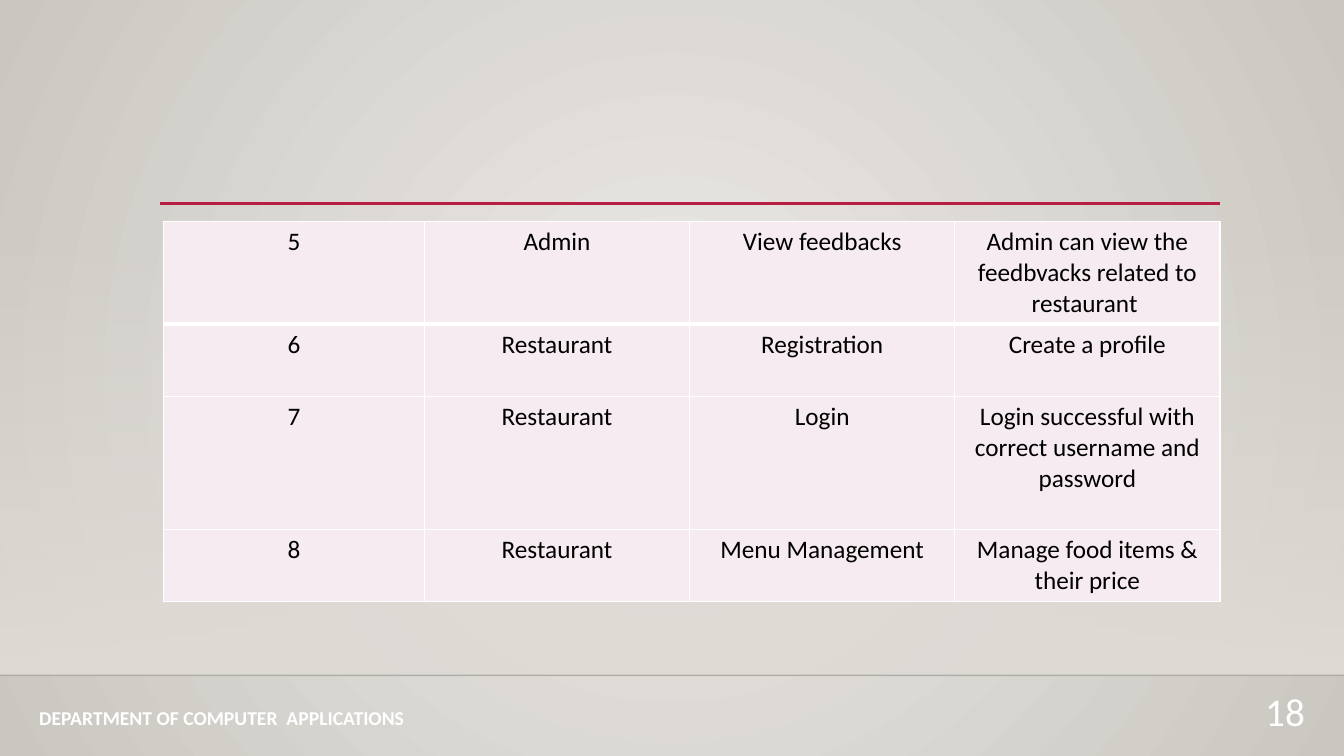
from lxml import etree
from pptx import Presentation
from pptx.dml.color import RGBColor
from pptx.enum.shapes import MSO_CONNECTOR as Conn, MSO_SHAPE as Shape
from pptx.enum.text import MSO_ANCHOR as Anchor, PP_ALIGN as Align
from pptx.oxml import parse_xml
from pptx.oxml.ns import nsdecls, qn
from pptx.util import Inches, Pt

WHITE = RGBColor(0xFF, 0xFF, 0xFF)
BLACK = RGBColor(0, 0, 0)
INK = RGBColor(0, 0, 1)
RED = RGBColor(0xB7, 0x1E, 0x42)
PINK = RGBColor(0xF5, 0xEB, 0xF1)
PALE = RGBColor(0xEC, 0xEA, 0xE7)
STONE = RGBColor(0xCA, 0xC7, 0xC1)
SAND = RGBColor(0xDF, 0xDB, 0xD5)

RADIAL = ('<a:path path="circle"><a:fillToRect l="50000" t="50000" '
          'r="50000" b="50000"/></a:path>')
DOWN = '<a:lin ang="5400000" scaled="0"/>'

ROWS = [
    ("5", "Admin", "View feedbacks",
     "Admin can view the feedbvacks related to restaurant "),
    ("6", "Restaurant", "Registration", "Create a profile"),
    ("7", "Restaurant", "Login",
     "Login successful with correct username and password"),
    ("8", "Restaurant", "Menu Management", "Manage food items & their price"),
]
WIDTHS = (2.59, 2.63, 2.63, 2.63)
HEIGHTS = (1.01, 0.72, 1.32, 0.71)


def shade(solid, stops, way):
    """Swap a solid fill for a gradient of (place, colour, opacity) stops."""
    marks = "".join(
        f'<a:gs pos="{place * 1000}"><a:srgbClr val="{tint}">'
        f'<a:alpha val="{alpha * 1000}"/></a:srgbClr></a:gs>'
        for place, tint, alpha in stops)
    fill = parse_xml(f'<a:gradFill {nsdecls("a")} rotWithShape="1">'
                     f'<a:gsLst>{marks}</a:gsLst>{way}</a:gradFill>')
    solid.getparent().replace(solid, fill)


def style(para, align, **form):
    para.alignment = align
    tint = form.pop("color")
    for key, value in form.items():
        setattr(para.font, key, value)
    para.font.color.rgb = tint


def add_rule(slide, left, right, top, tint, width, alpha=100):
    rule = slide.shapes.add_connector(
        Conn.STRAIGHT, Inches(left), Inches(top), Inches(right), Inches(top))
    rule.line.color.rgb = tint
    rule.line.width = Pt(width)
    props = rule._element.spPr
    etree.SubElement(props, qn("a:effectLst"))
    color = props.find(".//" + qn("a:srgbClr"))
    etree.SubElement(color, qn("a:alpha")).set("val", str(alpha * 1000))


def add_label(slide, box, text, align, anchor, **form):
    frame = slide.shapes.add_textbox(*map(Inches, box)).text_frame
    frame.word_wrap = True
    frame.vertical_anchor = anchor
    frame.text = text
    style(frame.paragraphs[0], align, name="Calibri", color=WHITE, **form)


def edge_cell(cell, **sides):
    props = cell._tc.get_or_add_tcPr()
    for spot, (side, width) in enumerate(sides.items()):
        props.insert(spot, parse_xml(
            f'<a:ln{side} {nsdecls("a")} w="{Pt(width)}"><a:solidFill>'
            f'<a:srgbClr val="{WHITE}"/></a:solidFill></a:ln{side}>'))


def add_grid(slide):
    grid = slide.shapes.add_table(
        len(ROWS), len(WIDTHS), Inches(1.62), Inches(2.2),
        Inches(sum(WIDTHS)), Inches(sum(HEIGHTS))).table
    grid.first_row = grid.horz_banding = False
    for col, width in zip(grid.columns, WIDTHS):
        col.width = Inches(width)
    for r, (row, height) in enumerate(zip(grid.rows, HEIGHTS)):
        row.height = Inches(height)
        for cell, text in zip(row.cells, ROWS[r]):
            cell.text = text
            cell.fill.solid()
            cell.fill.fore_color.rgb = PINK
            style(cell.text_frame.paragraphs[0], Align.CENTER,
                  name="Calibri", size=Pt(18), color=BLACK)
            # Thick line under the first row
            edge_cell(cell, L=1, R=1, T=3 if r == 1 else 1,
                      B=3 if r == 0 else 1)


def add_back(slide):
    slide.background.fill.solid()
    solid = slide._element.find(".//" + qn("p:bgPr")).find(qn("a:solidFill"))
    shade(solid, [(0, PALE, 100), (100, STONE, 100)], RADIAL)

    # Fading panel
    panel = slide.shapes.add_shape(
        Shape.RECTANGLE, 0, Inches(2.21), Inches(13.33), Inches(4.49))
    panel.shadow.inherit = False
    panel.line.fill.background()
    panel.fill.solid()
    solid = panel._element.spPr.find(qn("a:solidFill"))
    shade(solid, [(0, SAND, 0), (100, SAND, 100)], DOWN)


def main():
    deck = Presentation()
    deck.slide_width, deck.slide_height = Inches(13.33), Inches(7.5)
    slide = deck.slides.add_slide(deck.slide_layouts[6])

    # Backdrop and rules
    add_back(slide)
    add_rule(slide, 0, 13.33, 6.7, INK, 1, alpha=20)
    add_rule(slide, 1.59, 12.1, 2.02, RED, 2.5)

    # Test cases
    add_grid(slide)

    # Footer
    add_label(slide, (0.29, 6.92, 4.99, 0.39),
              "DEPARTMENT OF COMPUTER  APPLICATIONS",
              Align.LEFT, Anchor.MIDDLE, size=Pt(14), bold=True)
    add_label(slide, (12.15, 6.77, 0.89, 0.55), "18",
              Align.RIGHT, Anchor.TOP, size=Pt(28))
    deck.save("out.pptx")


if __name__ == "__main__":
    main()
